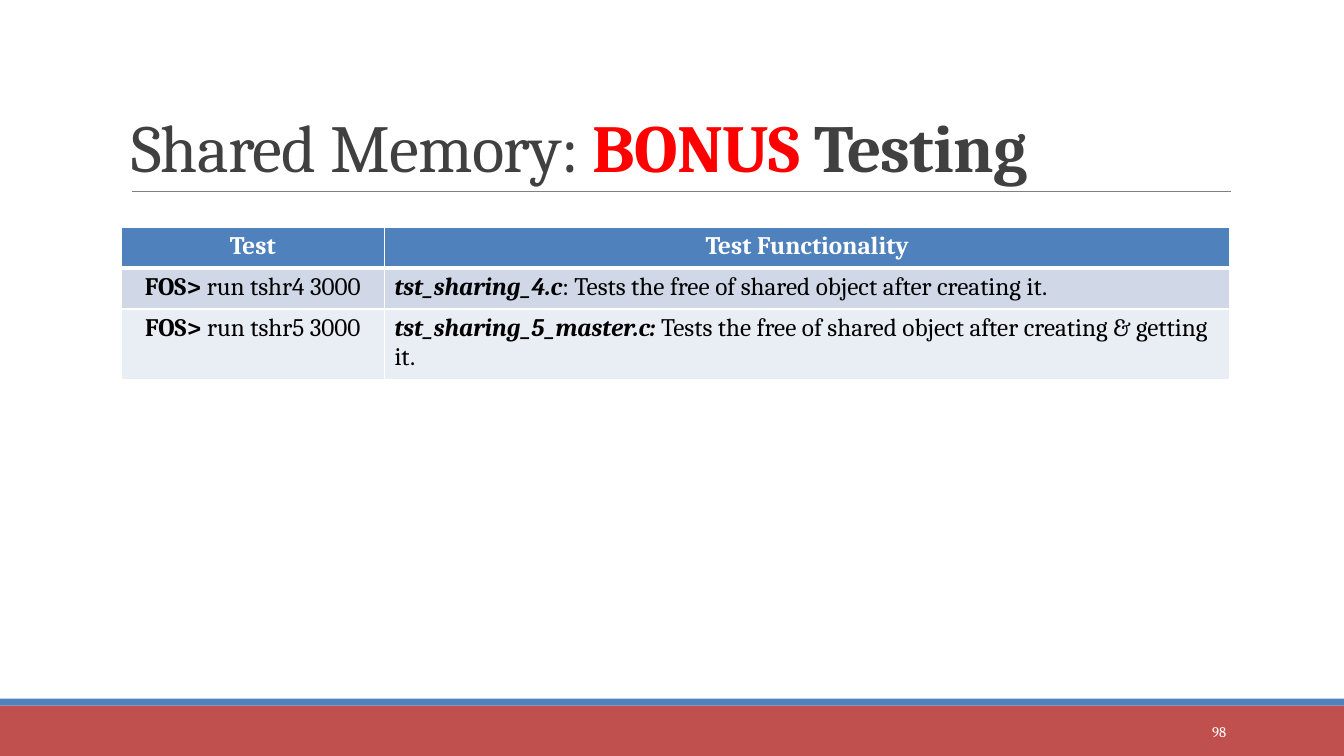
from lxml import etree
from pptx import Presentation
from pptx.dml.color import RGBColor
from pptx.enum.shapes import MSO_CONNECTOR, MSO_SHAPE
from pptx.enum.text import MSO_ANCHOR, PP_ALIGN
from pptx.oxml import parse_xml
from pptx.oxml.ns import nsdecls, qn
from pptx.util import Pt

WHITE = RGBColor(0xFF, 0xFF, 0xFF)
BLACK = RGBColor(0, 0, 0)
RED = RGBColor(0xFF, 0, 0)
BRICK = RGBColor(0xC0, 0x50, 0x4D)
BLUE = RGBColor(0x4F, 0x81, 0xBD)
GRAY = RGBColor(0x80, 0x80, 0x80)
DARK = RGBColor(0x40, 0x40, 0x40)
BAND_1 = RGBColor(0xD0, 0xD8, 0xE8)
BAND_2 = RGBColor(0xE9, 0xED, 0xF4)


def add_run(p, text, size=18, color=BLACK, bold=False, italic=False, spacing=None):
    r = p.add_run()
    r.text = text
    r.font.name = "Cambria"
    r.font.size = Pt(size)
    r.font.color.rgb = color
    r.font.bold = bold
    r.font.italic = italic
    if spacing is not None:
        r.font._element.set("spc", str(round(spacing * 100)))


def set_borders(cell, bottom):
    """Draw white cell borders, 1 pt wide except for the bottom one."""
    widths = {"lnL": 1, "lnR": 1, "lnT": 1, "lnB": bottom}
    for i, (side, width) in enumerate(widths.items()):
        cell._tc.get_or_add_tcPr().insert(i, parse_xml(
            f'<a:{side} {nsdecls("a")} w="{Pt(width)}"><a:solidFill>'
            f'<a:srgbClr val="{WHITE}"/></a:solidFill></a:{side}>'))


prs = Presentation()
prs.slide_width, prs.slide_height = Pt(960), Pt(540)
s = prs.slides.add_slide(prs.slide_layouts[6])

# Footer bands
for top, height, color in [(504, 36, BRICK), (499, 5, BLUE)]:
    sp = s.shapes.add_shape(MSO_SHAPE.RECTANGLE, 0, Pt(top), Pt(960), Pt(height))
    sp.shadow.inherit = False
    sp.fill.solid()
    sp.fill.fore_color.rgb = color
    sp.line.fill.background()

# Rule under the title
rule = s.shapes.add_connector(MSO_CONNECTOR.STRAIGHT, Pt(94.3), Pt(136.7), Pt(879), Pt(136.7))
rule.line.color.rgb = GRAY
rule.line.width = Pt(0.5)
etree.SubElement(rule._element.spPr, qn("a:effectLst"))

# Slide number
tf = s.shapes.add_textbox(Pt(780), Pt(508.5), Pt(103), Pt(28.8)).text_frame
tf.word_wrap = True
tf.vertical_anchor = MSO_ANCHOR.MIDDLE
tf.paragraphs[0].alignment = PP_ALIGN.RIGHT
add_run(tf.paragraphs[0], "98", size=10.5, color=WHITE)

# Test table
ROWS = [
    (BLUE, [("Test", dict(color=WHITE, bold=True))],
     [("Test Functionality", dict(color=WHITE, bold=True))]),
    (BAND_1, [("FOS> ", dict(bold=True)), ("run tshr4 3000", {})],
     [("tst_sharing_4.c", dict(bold=True, italic=True)),
      (": Tests the free of shared object after creating it.", {})]),
    (BAND_2, [("FOS> ", dict(bold=True)), ("run tshr5 3000", {})],
     [("tst_sharing_5_master.c: ", dict(bold=True, italic=True)),
      ("Tests the free of shared object after creating & getting it.", {})]),
]
table = s.shapes.add_table(len(ROWS), 2, Pt(86.6), Pt(162.3), Pt(792), Pt(87.6)).table
table.columns[0].width, table.columns[1].width = Pt(188), Pt(604)
for i, (fill, *cells) in enumerate(ROWS):
    table.rows[i].height = Pt(29.2)
    for j, runs in enumerate(cells):
        cell = table.cell(i, j)
        cell.fill.solid()
        cell.fill.fore_color.rgb = fill
        set_borders(cell, bottom=3 if i == 0 else 1)
        p = cell.text_frame.paragraphs[0]
        p.alignment = PP_ALIGN.CENTER if i == 0 or j == 0 else PP_ALIGN.LEFT
        for text, style in runs:
            add_run(p, text, **style)

# Title
tf = s.shapes.add_textbox(Pt(86.6), Pt(22.5), Pt(792), Pt(114.2)).text_frame
tf.word_wrap = True
tf.vertical_anchor = MSO_ANCHOR.BOTTOM
p = tf.paragraphs[0]
p.line_spacing = 0.85
add_run(p, "Shared Memory: ", size=48, color=DARK, spacing=-0.5)
add_run(p, "BONUS ", size=48, color=RED, bold=True, spacing=-0.5)
add_run(p, "Testing", size=48, color=DARK, bold=True, spacing=-0.5)

prs.save("out.pptx")
